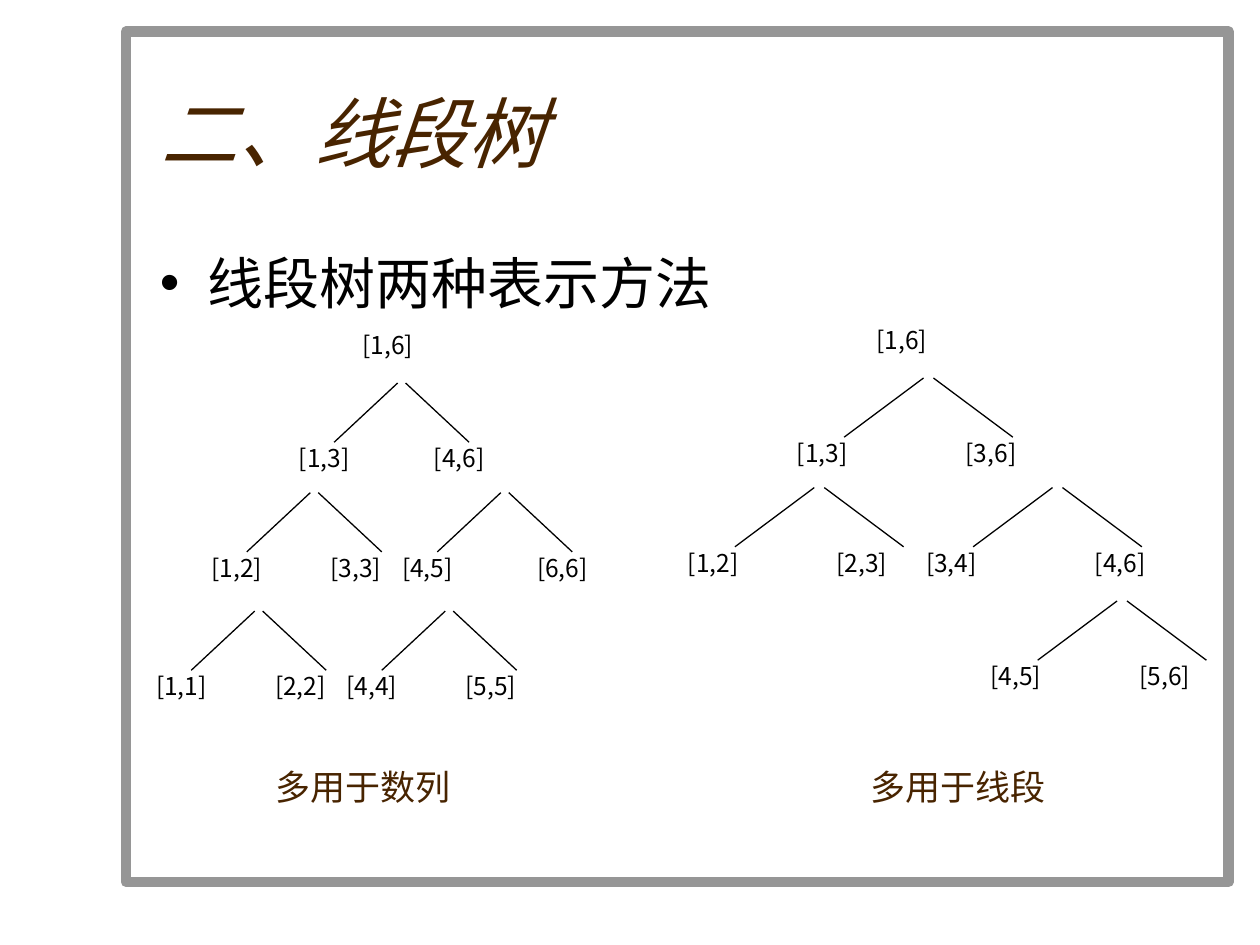
from lxml import etree
from pptx import Presentation
from pptx.dml.color import RGBColor
from pptx.enum import shapes, text
from pptx.oxml import ns
from pptx.util import Inches, Pt

WHITE = RGBColor(0xFF, 0xFF, 0xFF)
BLACK = RGBColor(0, 0, 0)
BROWN = RGBColor(0x48, 0x24, 0x00)
GRAY = RGBColor(0x96, 0x96, 0x96)
FONT = "Noto Sans CJK SC"

LABEL_UNITS = 12
FORK_HEIGHT = 0.47
CHILD_DROP = 0.43

# Each fork: y in inches, apex x in grid units, child labels, shift of the right label.
SEQUENCE_FORKS = [
    (0.47, 32, "[1,3]", "[4,6]", 3),
    (1.34, 21, "[1,2]", "[3,3]", 1),
    (1.34, 45, "[4,5]", "[6,6]", 3),
    (2.28, 14, "[1,1]", "[2,2]", 1),
    (2.28, 38, "[4,4]", "[5,5]", 1),
]
SEGMENT_FORKS = [
    (0.47, 25, "[1,3]", "[3,6]", 3),
    (1.34, 14, "[1,2]", "[2,3]", 1),
    (1.34, 38, "[3,4]", "[4,6]", 3),
    (2.24, 44.5, "[4,5]", "[5,6]", 1),
]


def write(frame, words, size, color, align, anchor=text.MSO_ANCHOR.TOP, italic=False):
    frame.word_wrap = True
    frame.vertical_anchor = anchor
    paragraph = frame.paragraphs[0]
    paragraph.alignment = align
    run = paragraph.add_run()
    run.text = words
    formats = {"size": Pt(size), "name": FONT, "italic": italic}
    for key, value in formats.items():
        setattr(run.font, key, value)
    run.font.color.rgb = color
    east_asian = etree.SubElement(run.font._element, ns.qn("a:ea"))
    east_asian.set("typeface", FONT)
    return paragraph


def add_label(parts, words, left, top, width, height, size, color):
    label = parts.add_textbox(Inches(left), Inches(top), Inches(width), Inches(height))
    write(label.text_frame, words, size, color, text.PP_ALIGN.JUSTIFY)
    label.text_frame.auto_size = text.MSO_AUTO_SIZE.SHAPE_TO_FIT_TEXT


def add_branch(parts, x1, y1, x2, y2):
    branch = parts.add_connector(
        shapes.MSO_CONNECTOR.STRAIGHT, Inches(x1), Inches(y1), Inches(x2), Inches(y2))
    branch.line.color.rgb = BLACK
    branch.line.width = Pt(0.75)
    etree.SubElement(branch.element.spPr, ns.qn("a:effectLst"))


def add_frame(slide, left, top, width, height):
    frame = slide.shapes.add_shape(
        shapes.MSO_SHAPE.RECTANGLE,
        Inches(left), Inches(top), Inches(width), Inches(height))
    frame.shadow.inherit = False
    frame.fill.solid()
    frame.fill.fore_color.rgb = WHITE
    frame.line.color.rgb = GRAY
    frame.line.width = Pt(6)
    frame.element.getparent().insert(2, frame.element)


def add_title(slide, left, top, width, height):
    title = slide.shapes.title
    box = {"left": left, "top": top, "width": width, "height": height}
    for side, length in box.items():
        setattr(title, side, Inches(length))
    write(title.text_frame, "二、线段树", 44, BROWN, text.PP_ALIGN.LEFT,
          text.MSO_ANCHOR.MIDDLE, italic=True)


def add_topic(slide, left, top, width, height):
    topic = slide.shapes.add_textbox(
        Inches(left), Inches(top), Inches(width), Inches(height))
    paragraph = write(topic.text_frame, "线段树两种表示方法", 32, BLACK, text.PP_ALIGN.LEFT)
    properties = paragraph._p.get_or_add_pPr()
    properties.set("marL", str(Inches(0.38)))
    properties.set("indent", str(Inches(-0.38)))
    bullet_font = etree.SubElement(properties, ns.qn("a:buFont"))
    bullet_font.set("typeface", "Arial")
    bullet = etree.SubElement(properties, ns.qn("a:buChar"))
    bullet.set("char", "•")


def add_tree(slide, left, top, width, span, root_column, forks):
    parts = slide.shapes.add_group_shape().shapes
    unit = width / span

    def add_node(words, column, y):
        add_label(parts, words, left + column * unit, y,
                  LABEL_UNITS * unit, 0.34, 14, BLACK)

    add_node("[1,6]", root_column, top)
    for drop, apex, left_child, right_child, shift in forks:
        x, y = left + apex * unit, top + drop
        add_branch(parts, x, y, x - 8 * unit, y + FORK_HEIGHT)
        add_branch(parts, x + unit, y, x + 9 * unit, y + FORK_HEIGHT)
        add_node(left_child, apex - 14, y + CHILD_DROP)
        add_node(right_child, apex + shift, y + CHILD_DROP)


def main():
    deck = Presentation()
    deck.slide_width, deck.slide_height = Inches(10), Inches(7.5)
    slide = deck.slides.add_slide(deck.slide_layouts[5])
    slide.background.fill.solid()
    slide.background.fill.fore_color.rgb = WHITE

    add_frame(slide, 1, 0.25, 8.75, 6.75)
    add_title(slide, 1.17, 0.42, 8.5, 1.25)
    add_topic(slide, 1.17, 1.92, 8.5, 4.5)
    add_tree(slide, 1.14, 2.57, 3.78, 60, 26, SEQUENCE_FORKS)
    add_tree(slide, 5.36, 2.53, 4.53, 57.5, 19, SEGMENT_FORKS)
    for usage, left in (("多用于数列", 2.09), ("多用于线段", 6.81)):
        add_label(slide.shapes, usage, left, 6.03, 1.97, 0.44, 20, BROWN)
    deck.save("out.pptx")


if __name__ == "__main__":
    main()
